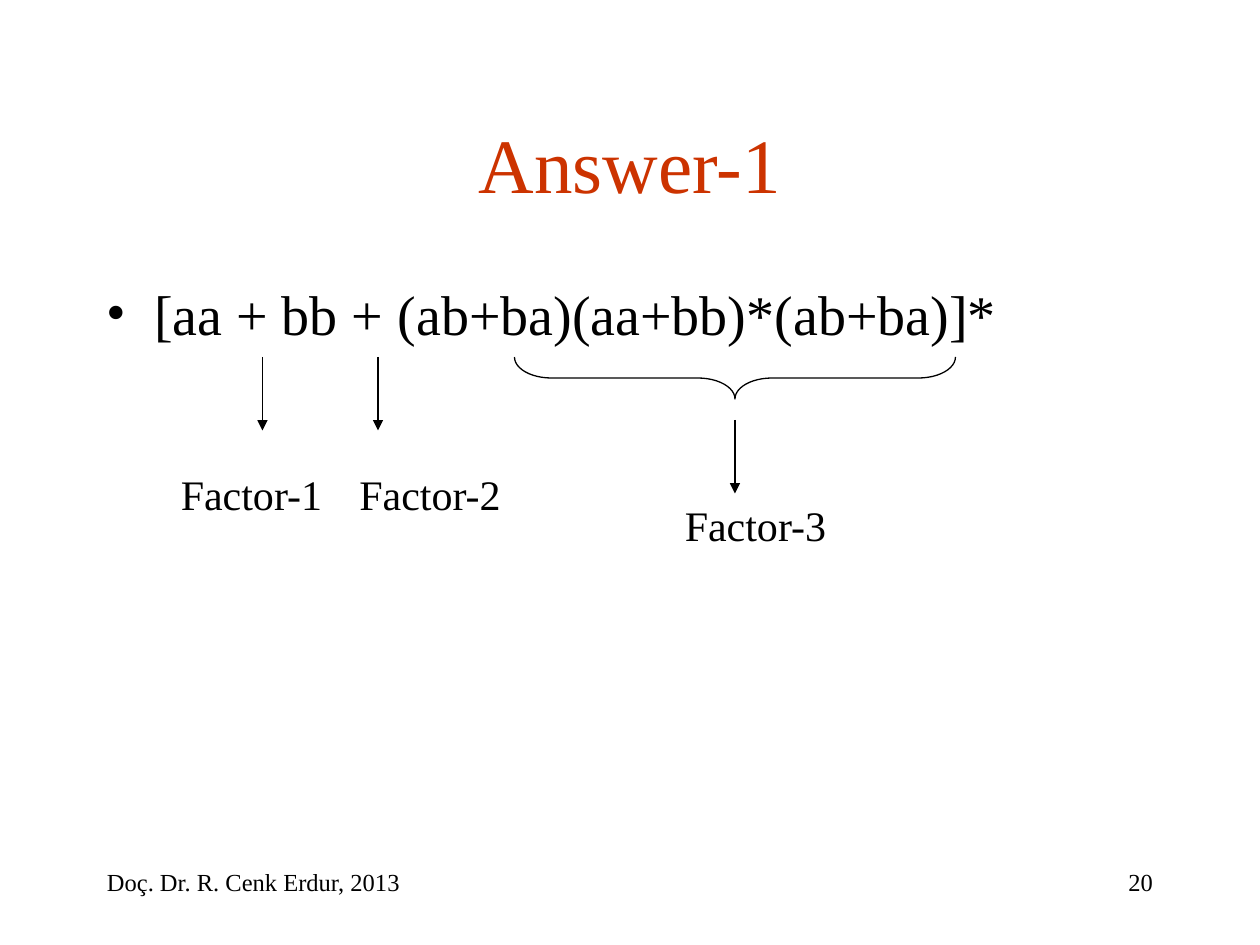
from dataclasses import dataclass

from lxml.etree import SubElement
from pptx import Presentation
from pptx.dml.color import RGBColor
from pptx.enum.shapes import MSO_CONNECTOR as Connector, MSO_SHAPE as Shape
from pptx.enum.text import MSO_ANCHOR as Anchor, MSO_AUTO_SIZE as AutoSize, PP_ALIGN as Align
from pptx.oxml.ns import qn
from pptx.slide import Slide
from pptx.text.text import _Paragraph as Paragraph
from pptx.util import Pt

COLORS = {"text": "000000", "title": "CC3300"}
FONT = "Times New Roman"
LINE_WIDTH = 0.75
ARROW_LENGTH = 42


@dataclass(frozen=True)
class TextBlock:
    text: str
    left: float
    top: float
    width: float
    height: float
    size: float
    color: str = "text"
    align: Align = Align.LEFT
    anchor: Anchor = Anchor.TOP
    wrap: bool = True
    bullet: bool = False


@dataclass(frozen=True)
class Factor:
    label: str
    label_left: float
    label_top: float
    arrow_x: float
    arrow_top: float


BLOCKS = [
    TextBlock("Doç. Dr. R. Cenk Erdur, 2013", 54, 492, 420, 36, 14),
    TextBlock("20", 516, 492, 150, 36, 14, align=Align.RIGHT),
    TextBlock("Answer-1", 54, 48, 612, 90, 44, "title", Align.CENTER, Anchor.MIDDLE),
    TextBlock("[aa + bb + (ab+ba)(aa+bb)*(ab+ba)]*", 54, 156, 612, 324, 32, bullet=True),
]
FACTORS = [
    Factor("Factor-1", 96.25, 264, 150, 204),
    Factor("Factor-2", 198.25, 264, 216, 204),
    Factor("Factor-3", 384.25, 282, 420, 240),
]


def rgb(name: str) -> RGBColor:
    return RGBColor.from_string(COLORS[name])


def add_bullet(paragraph: Paragraph, indent: float) -> None:
    properties = paragraph._p.get_or_add_pPr()
    properties.set("marL", str(Pt(indent)))
    properties.set("indent", str(-Pt(indent)))
    color = SubElement(properties, qn("a:buClr"))
    SubElement(color, qn("a:srgbClr"), val=COLORS["text"])
    SubElement(properties, qn("a:buFont"), typeface=FONT)
    SubElement(properties, qn("a:buChar"), char="•")


def add_text(slide: Slide, block: TextBlock) -> None:
    shape = slide.shapes.add_textbox(
        Pt(block.left), Pt(block.top), Pt(block.width), Pt(block.height)
    )
    frame = shape.text_frame
    frame.word_wrap = block.wrap
    frame.auto_size = AutoSize.NONE if block.wrap else AutoSize.SHAPE_TO_FIT_TEXT
    frame.vertical_anchor = block.anchor
    paragraph = frame.paragraphs[0]
    paragraph.alignment = block.align
    if block.bullet:
        add_bullet(paragraph, 27)
    run = paragraph.add_run()
    run.text = block.text
    run.font.name = FONT
    run.font.size = Pt(block.size)
    run.font.color.rgb = rgb(block.color)


def add_arrow(slide: Slide, x: float, top: float) -> None:
    arrow = slide.shapes.add_connector(
        Connector.STRAIGHT, Pt(x), Pt(top), Pt(x), Pt(top + ARROW_LENGTH)
    )
    arrow.line.color.rgb = rgb("text")
    arrow.line.width = Pt(LINE_WIDTH)
    SubElement(arrow.line._get_or_add_ln(), qn("a:tailEnd"), type="triangle")
    SubElement(arrow._element.spPr, qn("a:effectLst"))


def add_factor(slide: Slide, factor: Factor) -> None:
    add_arrow(slide, factor.arrow_x, factor.arrow_top)
    add_text(
        slide,
        TextBlock(factor.label, factor.label_left, factor.label_top, 95.5, 36, 24, wrap=False),
    )


def add_brace(slide: Slide, center_x: float, top: float, span: float, depth: float) -> None:
    brace = slide.shapes.add_shape(
        Shape.LEFT_BRACE,
        Pt(center_x - depth / 2),
        Pt(top + depth / 2 - span / 2),
        Pt(depth),
        Pt(span),
    )
    brace.rotation = 270
    brace.adjustments[0] = 0.88
    brace.shadow.inherit = False
    brace.fill.background()
    brace.line.color.rgb = rgb("text")
    brace.line.width = Pt(LINE_WIDTH)


def main() -> None:
    presentation = Presentation()
    presentation.slide_width = Pt(720)
    presentation.slide_height = Pt(540)
    slide = presentation.slides.add_slide(presentation.slide_layouts[6])
    for block in BLOCKS:
        add_text(slide, block)
    for factor in FACTORS:
        add_factor(slide, factor)
    add_brace(slide, center_x=420, top=204, span=252, depth=24)
    presentation.save("out.pptx")


if __name__ == "__main__":
    main()
